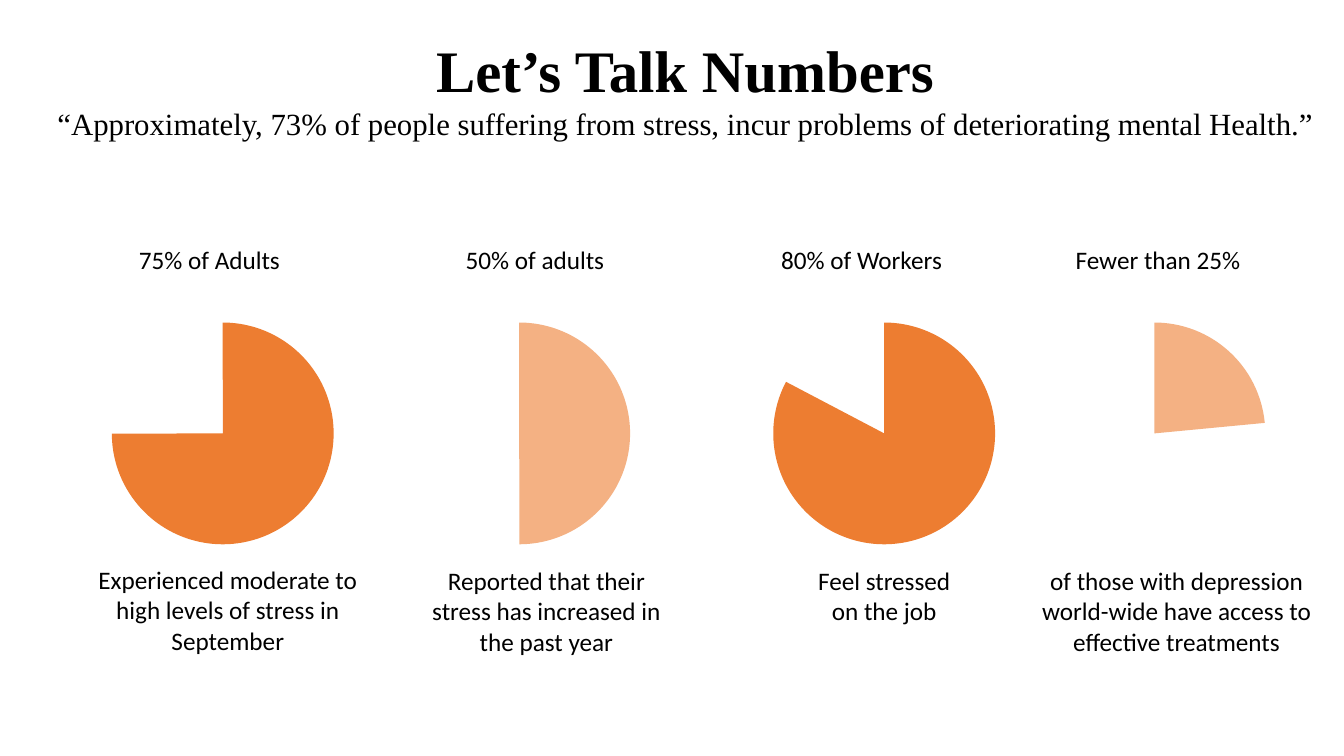
"""Build the "Let's Talk Numbers" slide with four stress statistics as pies."""
from pptx import Presentation
from pptx.dml.color import RGBColor
from pptx.enum.shapes import MSO_SHAPE
from pptx.enum.text import MSO_ANCHOR, PP_ALIGN
from pptx.util import Inches, Pt

BLACK = RGBColor(0x00, 0x00, 0x00)
ORANGE = RGBColor(0xED, 0x7D, 0x31)
PEACH = RGBColor(0xF4, 0xB1, 0x83)

PIE_TOP, PIE_SIZE = 3.2, 2.2
START_ANGLE = 270
ADJUSTMENT_PER_DEGREE = 0.6

STATISTICS = [
    dict(label="75% of Adults", label_at=(1.28, 2.37, 1.84, 0.4),
         pie_left=1.11, end_angle=179.87, color=ORANGE,
         finding=["Experienced moderate to high levels of stress in September"],
         finding_at=(0.81, 5.55, 2.9, 1.01)),
    dict(label="50% of adults", label_at=(4.52, 2.37, 1.79, 0.4),
         pie_left=4.05, end_angle=89.89, color=PEACH,
         finding=["Reported that their stress has increased in the past year"],
         finding_at=(4.04, 5.56, 2.76, 1.01)),
    dict(label="80% of Workers", label_at=(7.65, 2.37, 2.2, 0.4),
         pie_left=7.67, end_angle=207.72, color=ORANGE,
         finding=["Feel stressed", "on the job"],
         finding_at=(7.72, 5.56, 2.1, 0.71)),
    dict(label="Fewer than 25%", label_at=(10.57, 2.37, 2.2, 0.4),
         pie_left=10.35, end_angle=354.55, color=PEACH,
         finding=["of those with depression world-wide have access to effective treatments"],
         finding_at=(10.22, 5.56, 2.9, 1.01)),
]


def write(paragraph, text, font="Calibri", size=18, bold=False, align=PP_ALIGN.LEFT):
    """Put formatted text into a paragraph."""
    paragraph.alignment = align
    run = paragraph.add_run()
    run.text = text
    run.font.name = font
    run.font.size = Pt(size)
    run.font.bold = bold
    run.font.color.rgb = BLACK


class StatisticsSlide:
    """Holds the current slide and draws its elements in one style."""

    def __init__(self, slide):
        self.slide = slide

    def text_box(self, at, lines):
        """Add a wrapped text box from (text, format) pairs."""
        frame = self.slide.shapes.add_textbox(*map(Inches, at)).text_frame
        frame.word_wrap = True
        frame.vertical_anchor = MSO_ANCHOR.TOP
        for index, (text, text_format) in enumerate(lines):
            paragraph = frame.add_paragraph() if index else frame.paragraphs[0]
            write(paragraph, text, **text_format)

    def pie(self, left, end_angle, color):
        """Add a pie that runs clockwise from the top to the end angle."""
        pie = self.slide.shapes.add_shape(
            MSO_SHAPE.PIE, Inches(left), Inches(PIE_TOP), Inches(PIE_SIZE), Inches(PIE_SIZE))
        pie.adjustments[0] = START_ANGLE * ADJUSTMENT_PER_DEGREE
        pie.adjustments[1] = end_angle * ADJUSTMENT_PER_DEGREE
        pie.shadow.inherit = False
        pie.fill.solid()
        pie.fill.fore_color.rgb = color
        pie.line.fill.background()


def main():
    """Create the presentation and save it."""
    presentation = Presentation()
    presentation.slide_width = Inches(13.33)
    presentation.slide_height = Inches(7.5)
    page = StatisticsSlide(presentation.slides.add_slide(presentation.slide_layouts[6]))

    for statistic in STATISTICS:
        page.text_box(statistic["label_at"], [(statistic["label"], {})])
        page.pie(statistic["pie_left"], statistic["end_angle"], statistic["color"])
        page.text_box(statistic["finding_at"],
                      [(line, dict(align=PP_ALIGN.CENTER)) for line in statistic["finding"]])

    heading = dict(font="Times New Roman", align=PP_ALIGN.CENTER)
    page.text_box((0.43, 0.29, 12.73, 3.37), [
        ("Let’s Talk Numbers", dict(heading, size=42, bold=True)),
        ("“Approximately, 73% of people suffering from stress, "
         "incur problems of deteriorating mental Health.”", dict(heading, size=22)),
    ])
    presentation.save("out.pptx")


if __name__ == "__main__":
    main()
